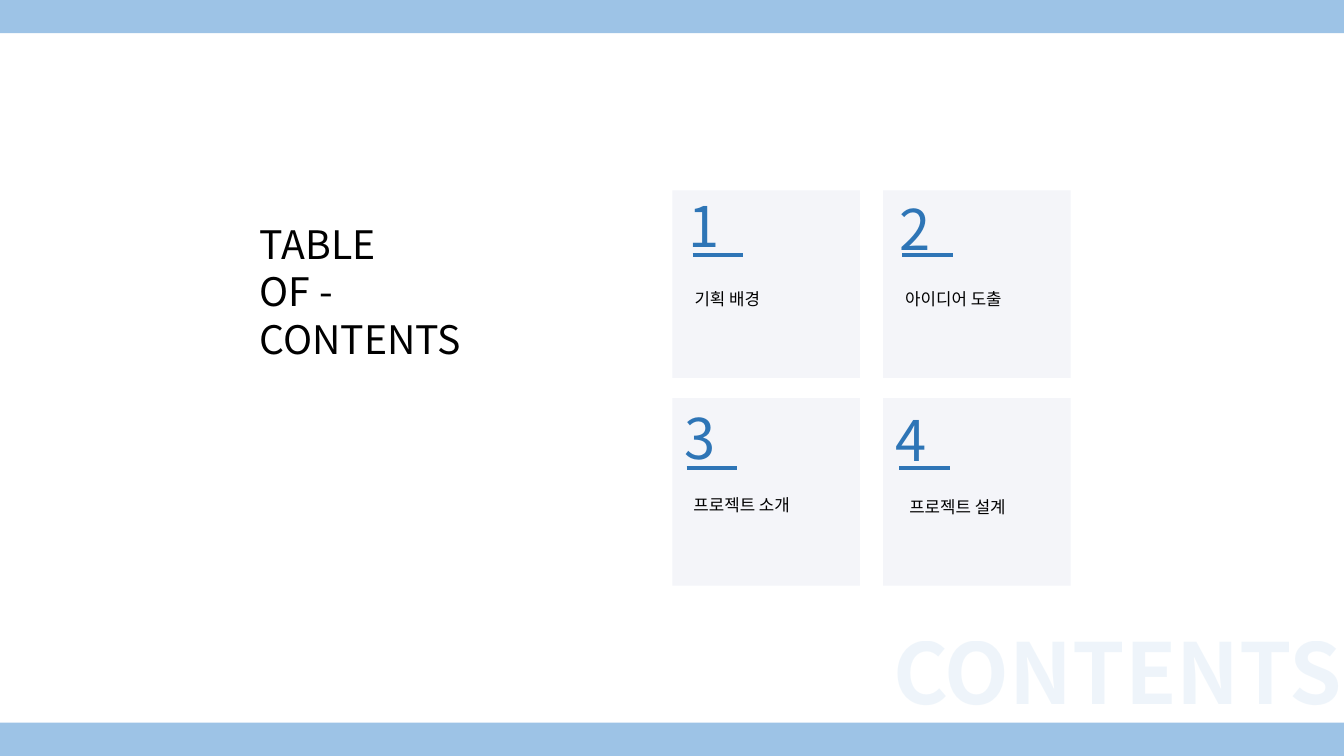
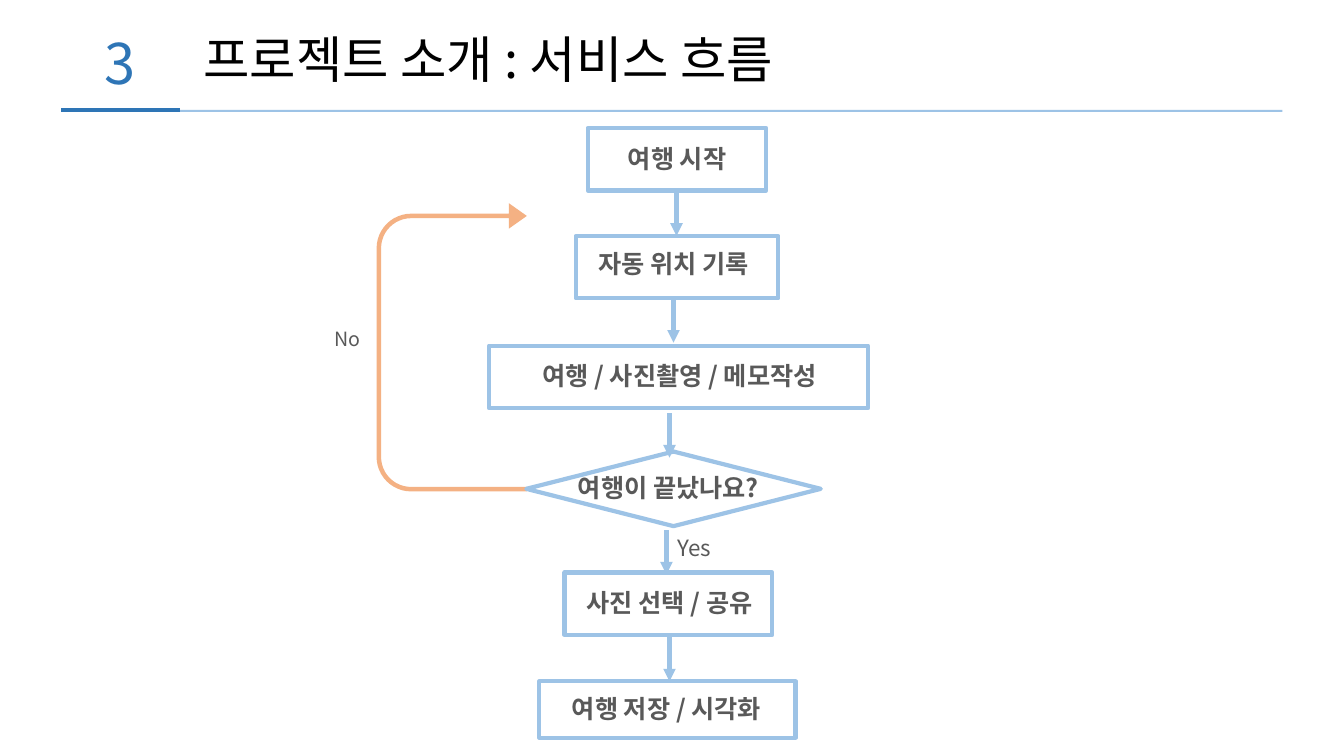
from dataclasses import dataclass

from lxml.etree import SubElement
from pptx import Presentation
from pptx.dml.color import RGBColor
from pptx.enum.shapes import MSO_CONNECTOR as Connector, MSO_SHAPE as Shape
from pptx.enum.text import MSO_AUTO_SIZE as AutoSize, PP_ALIGN as Align
from pptx.oxml.ns import qn
from pptx.util import Emu, Pt

EMU_PER_PX = 9144  # 100 px to the inch
SLIDE_WIDTH, SLIDE_HEIGHT = 1333, 750


@dataclass(frozen=True)
class Theme:
    font: str = "Noto Sans CJK KR"
    sky: str = "9DC3E6"
    blue: str = "2E75B6"
    card: str = "F4F5F9"
    orange: str = "F4B183"
    black: str = "000000"
    gray: str = "595959"
    ghost: int = 60
    number: int = 40
    title: int = 36
    heading: int = 28
    step: int = 18
    yes: int = 16
    no: int = 14
    label: int = 12
    stroke: int = 3


THEME = Theme()


def px(*lengths):
    return [Emu(length * EMU_PER_PX) for length in lengths]


def add_text(slide, text, frame, size, color=THEME.black, bold=False,
             align=Align.LEFT, wrap=False):
    """Add a text box with one paragraph per line and return its runs."""
    box = slide.shapes.add_textbox(*px(*frame)).text_frame
    box.word_wrap = wrap
    box.auto_size = AutoSize.SHAPE_TO_FIT_TEXT
    spans = []
    for index, line in enumerate(text.split("\n")):
        para = box.add_paragraph() if index else box.paragraphs[0]
        para.alignment = align
        span = para.add_run()
        span.text = line
        for name, value in {"name": THEME.font, "size": Pt(size), "bold": bold}.items():
            setattr(span.font, name, value)
        span.font.color.rgb = RGBColor.from_string(color)
        SubElement(span.font._element, qn("a:ea"), typeface=THEME.font)
        spans.append(span)
    return spans


def add_shape(slide, kind, frame, fill=None, line=None):
    shape = slide.shapes.add_shape(kind, *px(*frame))
    shape.shadow.inherit = False
    for paint, color in ((shape.fill, fill), (shape.line.fill, line)):
        if color:
            paint.solid()
            paint.fore_color.rgb = RGBColor.from_string(color)
        else:
            paint.background()
    if line:
        shape.line.width = Pt(THEME.stroke)
    return shape


def add_line(slide, start, end, color, arrow=False):
    line = slide.shapes.add_connector(Connector.STRAIGHT, *px(*start, *end))
    line.line.width = Pt(THEME.stroke)
    line.line.color.rgb = RGBColor.from_string(color)
    if arrow:
        SubElement(line.line._get_or_add_ln(), qn("a:tailEnd"), type="triangle")
    SubElement(line._element.spPr, qn("a:effectLst"))


def add_number(slide, digit, corner, rule_start, rule_width):
    """Add a large section digit and the short rule under it."""
    add_text(slide, digit, (*corner, 52, 77), THEME.number, THEME.blue)
    left, top = rule_start
    add_line(slide, rule_start, (left + rule_width, top), THEME.blue)


def add_ghost_word(slide, text, frame):
    for span in add_text(slide, text, frame, THEME.ghost, THEME.sky, bold=True, wrap=True):
        color = span.font._element.find(".//" + qn("a:srgbClr"))
        SubElement(color, qn("a:alpha"), val="16000")


def add_header(slide, digit, title):
    add_shape(slide, Shape.RECTANGLE, (61, 109, 1211, 2), THEME.sky)
    add_number(slide, digit, (94, 23), (61, 109), 118)
    add_text(slide, title, (192, 23, 627, 71), THEME.title)


def add_step(slide, text, text_frame, outline, kind=Shape.RECTANGLE):
    add_text(slide, text, text_frame, THEME.step, THEME.gray, True, Align.CENTER)
    add_shape(slide, kind, outline, line=THEME.sky)


def build_contents(slide):
    band = 33
    for top in (0, SLIDE_HEIGHT - band):
        add_shape(slide, Shape.RECTANGLE, (0, top, SLIDE_WIDTH, band), THEME.sky)
    add_text(slide, "TABLE\nOF -\nCONTENTS", (248, 214, 226, 151), THEME.heading)

    # label, label frame, number corner, rule start
    cards = [
        ("기획 배경", (679, 282, 88, 30), (673, 185), (687, 253)),
        ("아이디어 도출", (888, 282, 119, 30), (882, 188), (895, 253)),
        ("프로젝트 소개", (678, 486, 120, 30), (669, 395), (681, 464)),
        ("프로젝트 설계", (892, 488, 120, 30), (878, 397), (892, 464)),
    ]
    for index, (label, label_frame, corner, rule_start) in enumerate(cards):
        row, column = divmod(index, 2)
        add_shape(slide, Shape.RECTANGLE,
                  (667 + 209 * column, 189 + 206 * row, 186, 186), THEME.card)
        add_number(slide, str(index + 1), corner, rule_start, 50)
        add_text(slide, label, label_frame, THEME.label)
    add_ghost_word(slide, "CONTENTS", (876, 611, 471, 111))


def build_service_flow(slide):
    add_header(slide, "3", "프로젝트 소개 : 서비스 흐름")

    loop = add_shape(slide, Shape.U_TURN_ARROW, (305, 270, 286, 149), THEME.orange)
    loop.rotation = 270
    for index, value in enumerate((0.03, 0.085, 0.12, 0.23, 1)):
        loop.adjustments[index] = value

    steps = [
        ("여행 시작", (542, 137, 259, 40), (583, 127, 177, 62)),
        ("자동 위치 기록", (497, 241, 342, 40), (571, 234, 201, 62)),
        ("여행 / 사진촬영 / 메모작성", (452, 353, 444, 40), (485, 343, 376, 62)),
        ("여행이 끝났나요?", (548, 464, 230, 40), (522, 448, 292, 74), Shape.DIAMOND),
        ("사진 선택 / 공유", (562, 578, 204, 40), (560, 568, 206, 62)),
        ("여행 저장 / 시각화", (547, 683, 228, 40), (535, 676, 254, 56)),
    ]
    for step in steps:
        add_step(slide, *step)

    answers = [
        ("No", (322, 319, 46, 34), THEME.no),
        ("Yes", (661, 525, 56, 37), THEME.yes),
    ]
    for text, frame, size in answers:
        add_text(slide, text, frame, size, THEME.gray, align=Align.CENTER)

    for left, top in ((671, 190), (668, 296), (664, 410), (661, 526), (664, 632)):
        add_line(slide, (left, top), (left, top + 44), THEME.sky, arrow=True)


def main():
    deck = Presentation()
    deck.slide_width, deck.slide_height = px(SLIDE_WIDTH, SLIDE_HEIGHT)
    for build in (build_contents, build_service_flow):
        build(deck.slides.add_slide(deck.slide_layouts[6]))
    deck.save("out.pptx")


if __name__ == "__main__":
    main()
